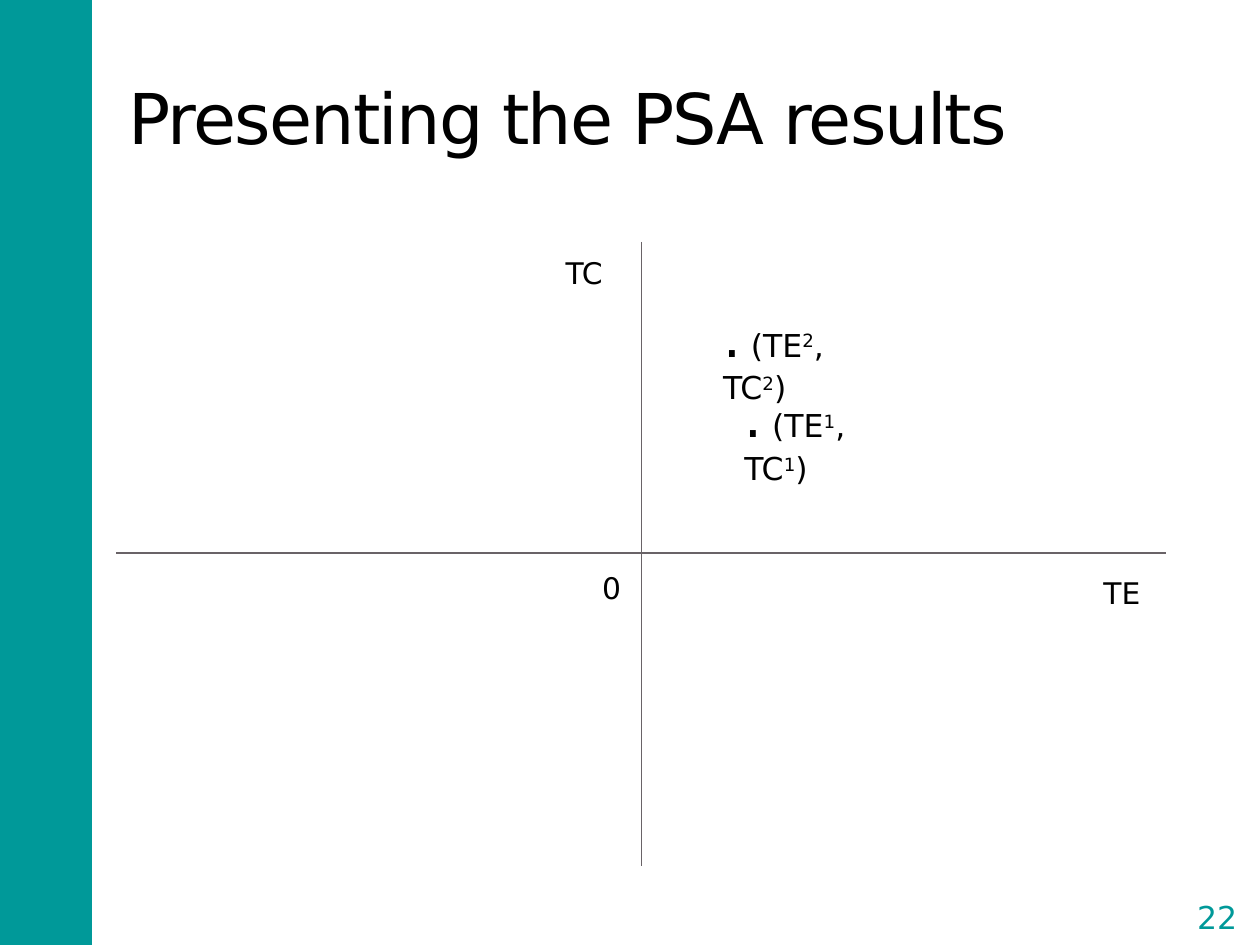
from dataclasses import dataclass

from lxml import etree
from pptx import Presentation
from pptx import util as u
from pptx.dml.color import RGBColor
from pptx.enum import shapes, text
from pptx.oxml.ns import qn

FONT = "DejaVu Sans"
BLACK, WHITE, TEAL, GREY = "000000", "FFFFFF", "009999", "696367"
AXIS_X, AXIS_Y = 5.09, 4.39


@dataclass
class Axis:
    x1: float
    y1: float
    x2: float
    y2: float


@dataclass
class Label:
    text: str
    x: float
    y: float
    w: float


@dataclass
class Point:
    index: str
    x: float
    y: float


AXES = [Axis(AXIS_X, 1.92, AXIS_X, 6.87), Axis(9.25, AXIS_Y, 0.92, AXIS_Y)]
LABELS = [
    Label("TE", 8.66, 4.46, 0.6),
    Label("TC", 4.39, 1.92, 0.6),
    Label("0", 4.68, 4.42, 0.39),
]
POINTS = [Point("1", 5.81, 2.93), Point("2", 5.64, 2.29)]


def rgb(color: str) -> RGBColor:
    return RGBColor.from_string(color)


def add_run(p, content: str, size=18, color=BLACK, spacing=None, baseline=None):
    r = p.add_run()
    r.text = content
    r.font.name = FONT
    r.font.size = u.Pt(size)
    r.font.color.rgb = rgb(color)
    for name, value in (("spc", spacing), ("baseline", baseline)):
        if value is not None:
            r.font._element.set(name, str(value))


def format_frame(tf, inset=0.1, anchor=text.MSO_ANCHOR.TOP, align=text.PP_ALIGN.LEFT):
    tf.word_wrap = True
    tf.auto_size = text.MSO_AUTO_SIZE.NONE
    tf.vertical_anchor = anchor
    tf.margin_left = tf.margin_right = u.Inches(inset)
    tf.margin_top = tf.margin_bottom = u.Inches(inset)
    p = tf.paragraphs[0]
    p.alignment = align
    return p


def add_box(s, x: float, y: float, w: float, h: float):
    sp = s.shapes.add_textbox(u.Inches(x), u.Inches(y), u.Inches(w), u.Inches(h))
    return format_frame(sp.text_frame)


def add_title(s, content: str) -> None:
    sp = s.shapes.title
    sp.left, sp.top = u.Inches(0.92), u.Inches(0.3)
    sp.width, sp.height = u.Inches(8.33), u.Inches(1.25)
    p = format_frame(sp.text_frame, anchor=text.MSO_ANCHOR.MIDDLE)
    add_run(p, content, size=40, spacing=-100)


def add_side_bar(s) -> None:
    sp = s.shapes.add_shape(
        shapes.MSO_SHAPE.RECTANGLE, 0, 0, u.Inches(0.73), u.Inches(7.5)
    )
    sp.shadow.inherit = False
    sp.fill.solid()
    sp.fill.fore_color.rgb = rgb(TEAL)
    sp.line.fill.background()


def add_page_number(s, number: str) -> None:
    sp = s.shapes.add_shape(
        shapes.MSO_SHAPE.DOUBLE_BRACKET,
        u.Inches(9.36), u.Inches(7.06), u.Inches(0.6), u.Inches(0.43),
    )
    sp.shadow.inherit = False
    sp.fill.background()
    sp.line.color.rgb = rgb(WHITE)
    sp.line.width = u.Pt(1.5)
    p = format_frame(
        sp.text_frame, 0, text.MSO_ANCHOR.MIDDLE, text.PP_ALIGN.CENTER
    )
    add_run(p, number, color=TEAL)


def add_axis(s, axis: Axis) -> None:
    line = s.shapes.add_connector(
        shapes.MSO_CONNECTOR.STRAIGHT,
        u.Inches(axis.x1), u.Inches(axis.y1), u.Inches(axis.x2), u.Inches(axis.y2),
    )
    line.line.color.rgb = rgb(GREY)
    line.line.width = u.Pt(0.75)
    etree.SubElement(line._element.spPr, qn("a:effectLst"))


def add_label(s, label: Label) -> None:
    add_run(add_box(s, label.x, label.y, label.w, 0.43), label.text, size=17)


def add_point(s, point: Point) -> None:
    p = add_box(s, point.x, point.y, 1.3, 0.74)
    add_run(p, ".", size=32)
    for part in (" (TE", ", TC"):
        add_run(p, part)
        add_run(p, point.index, baseline=30000)
    add_run(p, ")")


def main() -> None:
    prs = Presentation()
    prs.slide_width, prs.slide_height = u.Inches(10), u.Inches(7.5)
    s = prs.slides.add_slide(prs.slide_layouts[5])
    add_side_bar(s)
    add_title(s, "Presenting the PSA results")
    add_page_number(s, "22")
    for axis in AXES:
        add_axis(s, axis)
    for label in LABELS:
        add_label(s, label)
    for point in POINTS:
        add_point(s, point)
    prs.save("out.pptx")


if __name__ == "__main__":
    main()
